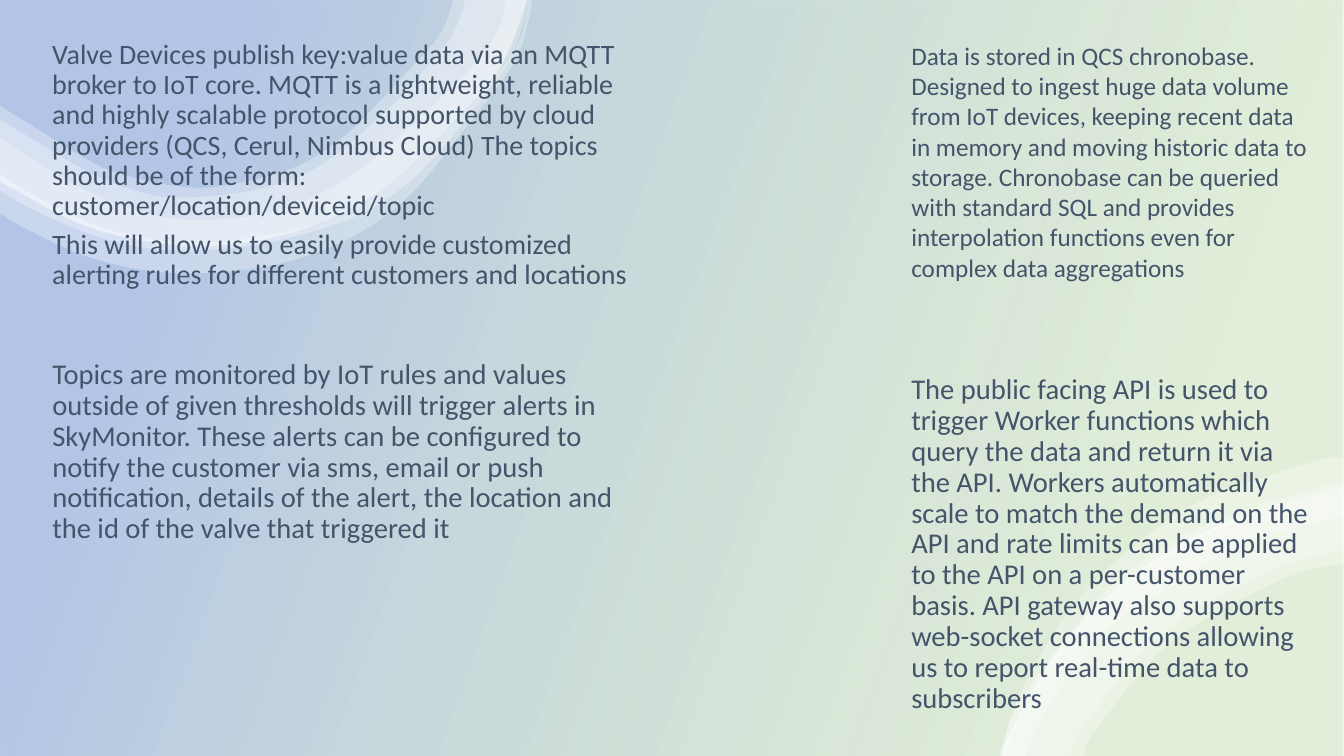
from dataclasses import dataclass

from lxml import etree
from pptx import Presentation
from pptx.dml.color import RGBColor
from pptx.enum.shapes import MSO_SHAPE
from pptx.oxml.ns import qn
from pptx.util import Inches, Pt

RECT = MSO_SHAPE.RECTANGLE
WIDTH, HEIGHT = 13.33, 7.5


@dataclass(frozen=True)
class Theme:
    font: str = "Calibri"
    text: str = "44546A"
    ribbon: str = "FFFFFF"
    green: str = "70AD47"
    blue: str = "4472C4"
    small: float = 18
    medium: float = 20
    large: float = 20.4


def set_alpha(parent, percent):
    for color in parent.iter(qn("a:srgbClr")):
        etree.SubElement(color, qn("a:alpha"), val=str(percent * 1000))


def curve_edge(lines, points):
    padded = [points[0], *points, points[-1]]
    for line, a, b, c, d in zip(lines, padded, padded[1:], padded[2:], padded[3:]):
        line.tag = qn("a:cubicBezTo")
        leave = [q + (r - p) / 6 for p, q, r in zip(a, b, c)]
        arrive = [q - (r - p) / 6 for p, q, r in zip(b, c, d)]
        for i, (x, y) in enumerate((leave, arrive)):
            line.insert(i, etree.Element(qn("a:pt"), x=str(round(x)), y=str(round(y))))


def add_run(p, text, *, font, size, color):
    r = p.add_run()
    r.text = text
    r.font.name = font
    r.font.size = Pt(size)
    r.font.color.rgb = RGBColor.from_string(color)


class SlideBuilder:
    def __init__(self, slide, theme):
        self.s = slide
        self.theme = theme

    def background(self, stops, angle):
        sp = self.s.shapes.add_shape(RECT, 0, 0, Inches(WIDTH), Inches(HEIGHT))
        sp.shadow.inherit = False
        sp.line.fill.background()
        sp.fill.gradient()
        sp.fill.gradient_angle = angle
        for stop, (position, color, _) in zip(sp.fill.gradient_stops, stops):
            stop.position = position
            stop.color.rgb = RGBColor.from_string(color)
        for gs, (_, _, alpha) in zip(sp.element.spPr.iter(qn("a:gs")), stops):
            set_alpha(gs, alpha)

    def ribbon(self, outer, inner):
        start, *rest = [(Inches(x), Inches(y)) for x, y in outer + inner]
        builder = self.s.shapes.build_freeform(*start)
        builder.add_line_segments(rest, close=True)
        sp = builder.convert_to_shape()
        sp.shadow.inherit = False
        sp.line.fill.background()
        sp.fill.solid()
        sp.fill.fore_color.rgb = RGBColor.from_string(self.theme.ribbon)
        spPr = sp.element.spPr
        set_alpha(spPr, 30)
        points = [(int(pt.get("x")), int(pt.get("y"))) for pt in spPr.iter(qn("a:pt"))]
        lines = list(spPr.iter(qn("a:lnTo")))
        n = len(outer)
        curve_edge(lines[:n - 1], points[:n])
        curve_edge(lines[n:], points[n:])

    def text(self, box, paragraphs, size, spacing=0.9):
        tf = self.s.shapes.add_textbox(*map(Inches, box)).text_frame
        tf.word_wrap = True
        for i, text in enumerate(paragraphs):
            p = tf.add_paragraph() if i else tf.paragraphs[0]
            p.line_spacing = spacing
            p.space_after = Pt(6)
            add_run(p, text, font=self.theme.font, size=size, color=self.theme.text)


TOP_OUTER = [(5.21, -0.01), (5.21, 0.06), (4.95, 0.69), (4.45, 1.26), (3.95, 1.75),
             (3.37, 2.12), (2.69, 2.36), (1.87, 2.44), (0.93, 2.27), (0.14, 1.88),
             (-0.02, 1.78)]
TOP_RIBBONS = [
    ([(5.27, -0.01), (5.26, 0.12), (5.15, 0.52), (4.92, 0.88), (4.57, 1.33), (4.1, 1.9),
      (3.6, 2.29), (2.98, 2.56), (2.29, 2.69), (1.58, 2.7), (0.88, 2.55), (0.26, 2.27),
      (-0.02, 2.1)],
     [(-0.02, 1.72), (0.48, 2.02), (1.03, 2.26), (1.62, 2.39), (2.25, 2.39), (3.15, 2.21),
      (3.92, 1.77), (4.45, 1.27), (4.85, 0.84), (5.1, 0.5), (5.2, 0.25), (5.23, -0.01)]),
    ([(5.22, -0.01), (5.2, 0.21), (5.05, 0.6), (4.81, 0.94), (4.48, 1.36), (4.08, 1.79),
      (3.56, 2.13), (2.94, 2.34), (2.29, 2.46), (1.61, 2.48), (0.95, 2.34), (0.35, 2.09),
      (-0.02, 1.88)],
     [(-0.02, 1.36), (0.63, 1.77), (1.13, 2.01), (1.67, 2.16), (2.25, 2.17), (2.82, 2.07),
      (3.32, 1.84), (3.76, 1.53), (4.25, 1.09), (4.74, 0.6), (4.96, 0.26), (5.02, -0.01)]),
    (TOP_OUTER,
     [(-0.02, 1.17), (0.29, 1.36), (1.08, 1.8), (1.87, 1.96), (3.02, 1.73), (3.95, 0.99),
      (4.17, 0.74), (4.47, 0.38), (4.6, 0.06), (4.6, -0.01)]),
    (TOP_OUTER,
     [(-0.02, 1.04), (0.37, 1.28), (0.76, 1.52), (1.15, 1.71), (1.87, 1.86), (2.45, 1.8),
      (2.99, 1.63), (3.44, 1.33), (3.84, 0.93), (4.07, 0.68), (4.36, 0.35), (4.48, 0.05),
      (4.48, -0.01)]),
]

BOTTOM_OUTER = [(9.94, 7.5), (10.02, 7.26), (10.53, 6.41), (11.26, 5.69), (12.19, 5.17),
                (13.22, 4.86), (13.34, 4.84)]
BOTTOM_RIBBONS = [
    ([(9.91, 7.5), (10.07, 7), (10.39, 6.38), (10.81, 5.82), (11.34, 5.34), (11.95, 4.95),
      (12.99, 4.59), (13.34, 4.53)],
     [(13.34, 4.85), (12.74, 4.99), (12.11, 5.24), (11.52, 5.57), (10.99, 5.98),
      (10.53, 6.47), (10.16, 7.03), (9.97, 7.5)]),
    (BOTTOM_OUTER,
     [(13.34, 5.59), (12.71, 5.75), (11.62, 6.37), (10.87, 7.24), (10.75, 7.5)]),
    ([(9.93, 7.5), (10.12, 6.96), (10.93, 5.9), (11.46, 5.49), (12.06, 5.16),
      (13.05, 4.85), (13.34, 4.8)],
     [(13.34, 5.13), (12.81, 5.24), (12.21, 5.46), (11.14, 6.12), (10.71, 6.57),
      (10.36, 7.08), (10.17, 7.5)]),
    (BOTTOM_OUTER,
     [(13.34, 5.46), (12.66, 5.64), (11.54, 6.27), (10.76, 7.19), (10.62, 7.5)]),
]

PUBLISHING = [
    "Valve Devices publish key:value data via an MQTT broker to IoT core. MQTT is a "
    "lightweight, reliable and highly scalable protocol supported by cloud providers "
    "(QCS, Cerul, Nimbus Cloud) The topics should be of the form: "
    "customer/location/deviceid/topic",
    "This will allow us to easily provide customized alerting rules for different "
    "customers and locations",
]
ALERTS = [
    "Topics are monitored by IoT rules and values outside of given thresholds will trigger "
    "alerts in SkyMonitor. These alerts can be configured to notify the customer via sms, "
    "email or push notification, details of the alert, the location and the id of the valve "
    "that triggered it",
]
API = [
    "The public facing API is used to trigger Worker functions which query the data and "
    "return it via the API. Workers automatically scale to match the demand on the API and "
    "rate limits can be applied to the API on a per-customer basis. API gateway also "
    "supports web-socket connections allowing us to report real-time data to subscribers",
]
STORAGE = [
    "Data is stored in QCS chronobase. Designed to ingest huge data volume from IoT "
    "devices, keeping recent data in memory and moving historic data to storage. "
    "Chronobase can be queried with standard SQL and provides interpolation functions "
    "even for complex data aggregations",
]

prs = Presentation()
prs.slide_width, prs.slide_height = Inches(WIDTH), Inches(HEIGHT)
theme = Theme()
page = SlideBuilder(prs.slides.add_slide(prs.slide_layouts[6]), theme)

page.background([(0.16, theme.green, 20), (0.85, theme.blue, 40)], angle=160)
for outer, inner in TOP_RIBBONS + BOTTOM_RIBBONS:
    page.ribbon(outer, inner)
page.text((0.42, 0.35, 6.24, 2.66), PUBLISHING, theme.medium)
page.text((0.42, 3.52, 5.89, 2.03), ALERTS, theme.large)
page.text((8.94, 3.67, 4.13, 3.48), API, theme.large)
page.text((8.94, 0.35, 4.13, 2.52), STORAGE, theme.small, spacing=1.0)
prs.save("out.pptx")
